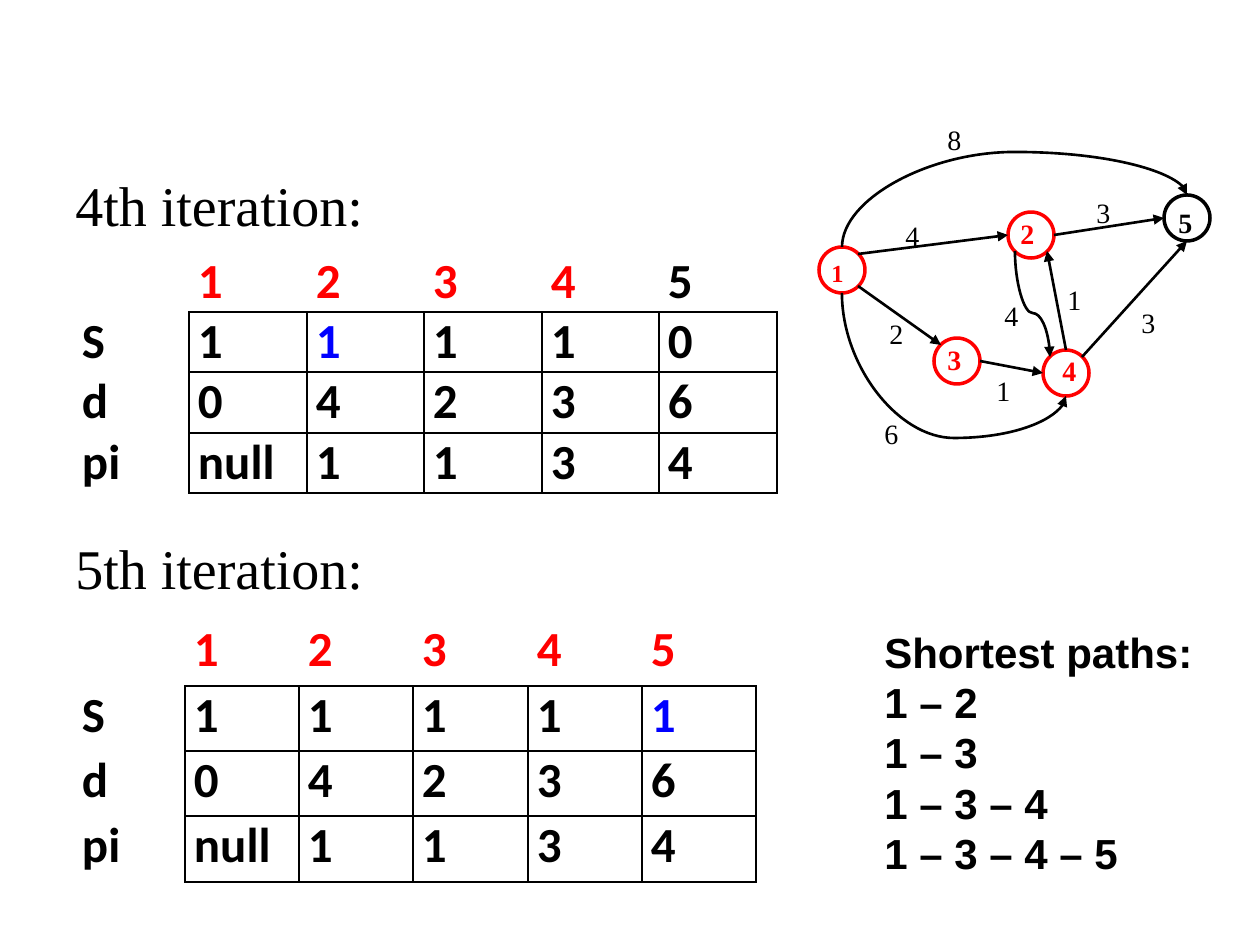
from typing import NamedTuple, Optional

from pptx import Presentation
from pptx.dml.color import RGBColor
from pptx.enum.shapes import MSO_CONNECTOR, MSO_SHAPE
from pptx.oxml.ns import qn
from pptx.oxml.xmlchemy import OxmlElement
from pptx.util import Emu, Pt

BLACK = RGBColor(0, 0, 0)
RED = RGBColor(255, 0, 0)
BLUE = RGBColor(0, 0, 255)
SERIF = "Times New Roman"
RADIUS = 23
SLANT = 16
SITES = {
    "top": (0, -RADIUS), "bottom": (0, RADIUS),
    "left": (-RADIUS, 0), "right": (RADIUS, 0),
    "nw": (-SLANT, -SLANT), "ne": (SLANT, -SLANT),
    "sw": (-SLANT, SLANT), "se": (SLANT, SLANT),
}


class Node(NamedTuple):
    x: int
    y: int
    left: int
    top: int
    color: RGBColor = RED
    size: int = 16


class Edge(NamedTuple):
    start: str
    out: str
    end: str
    into: str
    weight: str
    left: int
    top: int
    bend: Optional[int] = None


class Grid(NamedTuple):
    top: int
    lead: int
    width: int
    height: int
    state: str
    reds: int
    blue: int


NODES = {
    "1": Node(842, 270, 819, 252, size=14),
    "2": Node(1031, 235, 1008, 210),
    "3": Node(957, 361, 935, 336),
    "4": Node(1066, 373, 1050, 347),
    "5": Node(1187, 218, 1166, 199, BLACK),
}
EDGES = (
    Edge("1", "top", "5", "top", "8", 935, 116, 152),
    Edge("1", "se", "3", "nw", "2", 877, 310),
    Edge("3", "right", "4", "left", "1", 984, 367),
    Edge("4", "ne", "5", "bottom", "3", 1129, 299),
    Edge("1", "ne", "2", "left", "4", 893, 212),
    Edge("2", "right", "5", "left", "3", 1084, 189),
    Edge("4", "top", "2", "se", "1", 1055, 276),
    Edge("1", "bottom", "4", "bottom", "6", 872, 410, 438),
    Edge("2", "sw", "4", "nw", "4", 992, 292, 313),
)
GRIDS = (
    Grid(252, 116, 588, 241, "S 1 1 1 1 0", reds=4, blue=2),
    Grid(620, 112, 571, 262, "S 1 1 1 1 1", reds=5, blue=5),
)


def px(count: float) -> Emu:
    return Emu(round(count * 914400 / 126))


def split(total: int, parts: int) -> list[int]:
    marks = [round(total * i / parts) for i in range(parts + 1)]
    return [b - a for a, b in zip(marks, marks[1:])]


def write(frame, text: str, *, font=SERIF, size=16, color=BLACK, bold=False) -> None:
    frame.text = text
    for para in frame.paragraphs:
        for run in para.runs:
            run.font.name = font
            run.font.size = Pt(size)
            run.font.color.rgb = color
            run.font.bold = bold


def label(slide, text: str, box: tuple[int, int, int, int], wrap=True, **style) -> None:
    frame = slide.shapes.add_textbox(*map(px, box)).text_frame
    frame.word_wrap = wrap
    write(frame, text, **style)


def rule(cell, sides: str) -> None:
    props = cell._tc.get_or_add_tcPr()
    for side in "LRTB":
        line = OxmlElement(f"a:ln{side}")
        props.append(line)
        if side in sides:
            line.set("w", str(Pt(1)))
            fill = OxmlElement("a:solidFill")
            tint = OxmlElement("a:srgbClr")
            tint.set("val", str(BLACK))
            fill.append(tint)
            line.append(fill)
        else:
            line.append(OxmlElement("a:noFill"))


def draw_grid(slide, grid: Grid) -> None:
    rows = [["", *"12345"]]
    rows += [line.split() for line in (grid.state, "d 0 4 2 3 6", "pi null 1 1 3 4")]
    box = (73, grid.top, grid.lead + grid.width, grid.height)
    table = slide.shapes.add_table(4, 6, *map(px, box)).table
    table.first_row = table.horz_banding = False
    for col, width in zip(table.columns, [grid.lead, *split(grid.width, 5)]):
        col.width = px(width)
    for row, height in zip(table.rows, split(grid.height, 4)):
        row.height = px(height)
    for r, row in enumerate(rows):
        for c, text in enumerate(row):
            cell = table.cell(r, c)
            cell.margin_left = cell.margin_right = px(9)
            cell.margin_top = cell.margin_bottom = 0
            color = BLACK
            if r == 0 and c <= grid.reds:
                color = RED
            elif r == 1 and c == grid.blue:
                color = BLUE
            write(cell.text_frame, text, font="Calibri", size=28, color=color, bold=True)
            rule(cell, "LRTB" if r and c else "R" if r else "B" if c else "")
            cell.fill.background()


def draw_node(slide, name: str, node: Node) -> None:
    box = (node.x - RADIUS, node.y - RADIUS, 2 * RADIUS, 2 * RADIUS)
    ring = slide.shapes.add_shape(MSO_SHAPE.OVAL, *map(px, box))
    ring.shadow.inherit = False
    ring.fill.background()
    ring.line.color.rgb = node.color
    ring.line.width = Pt(2)
    label(slide, name, (node.left, node.top, 29, 46),
          size=node.size, color=node.color, bold=True)


def spot(name: str, site: str) -> tuple[int, int]:
    node, (dx, dy) = NODES[name], SITES[site]
    return node.x + dx, node.y + dy


def curve(slide, x1: int, y1: int, x2: int, y2: int, bend: int):
    wide, high = abs(y2 - y1), abs(x2 - x1)
    left, top = (x1 + x2 - wide) / 2, (y1 + y2 - high) / 2
    ends = (left, top, left + wide, top + high)
    line = slide.shapes.add_connector(MSO_CONNECTOR.CURVE, *map(px, ends))
    props = line._element.spPr
    frame = props.find(qn("a:xfrm"))
    frame.set("rot", str((270 if y2 > y1 else 90) * 60000))
    frame.set("flipH", "1")
    if y2 < y1:
        frame.set("flipV", "1")
    guide = OxmlElement("a:gd")
    guide.set("name", "adj1")
    guide.set("fmla", f"val {round((bend - y1) / (y2 - y1) * 100000)}")
    props.find(qn("a:prstGeom")).get_or_add_avLst().append(guide)
    return line


def draw_edge(slide, edge: Edge) -> None:
    ends = (*spot(edge.start, edge.out), *spot(edge.end, edge.into))
    if edge.bend is None:
        line = slide.shapes.add_connector(MSO_CONNECTOR.STRAIGHT, *map(px, ends))
    else:
        line = curve(slide, *ends, edge.bend)
    line.line.color.rgb = BLACK
    line.line.width = Pt(1.5)
    tip = OxmlElement("a:tailEnd")
    tip.set("type", "triangle")
    line.line._get_or_add_ln().append(tip)
    line._element.spPr.append(OxmlElement("a:effectLst"))
    label(slide, edge.weight, (edge.left, edge.top, 34, 46))


def main() -> None:
    deck = Presentation()
    deck.slide_width, deck.slide_height = px(1260), px(945)
    slide = deck.slides.add_slide(deck.slide_layouts[6])
    for text, top in (("4th iteration:", 164), ("5th iteration:", 527)):
        label(slide, text, (63, top, 600, 77), size=32)
    for grid in GRIDS:
        draw_grid(slide, grid)
    paths = "Shortest paths:\n1 – 2\n1 – 3\n1 – 3 – 4\n1 – 3 – 4 – 5"
    label(slide, paths, (872, 620, 336, 267), wrap=False,
          font="Arial", size=24, bold=True)
    for name, node in NODES.items():
        draw_node(slide, name, node)
    for edge in EDGES:
        draw_edge(slide, edge)
    deck.save("out.pptx")


if __name__ == "__main__":
    main()
